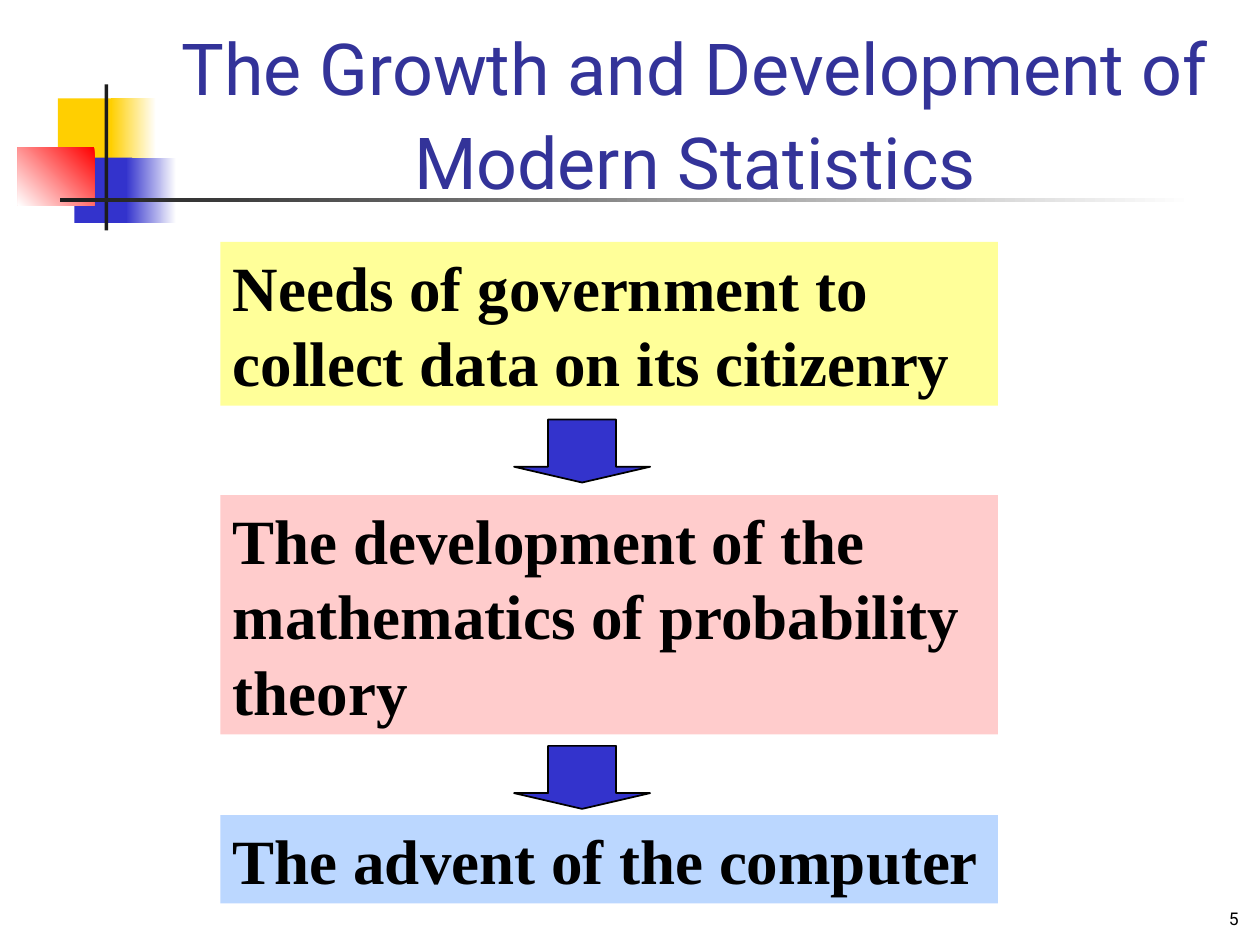
import pptx
import pptx.util
import pptx.dml.color
import pptx.enum.shapes
import pptx.enum.text

Inches = pptx.util.Inches
Pt = pptx.util.Pt
SHAPES = pptx.enum.shapes.MSO_SHAPE
ALIGN = pptx.enum.text.PP_ALIGN
ANCHOR = pptx.enum.text.MSO_ANCHOR

COLORS = {
    "white": "FFFFFF", "black": "000000", "charcoal": "1C1C1C",
    "gold": "FFCF01", "blue": "3333CC", "red": "FF0000", "title": "333399",
    "yellow": "FFFF99", "pink": "FFCCCC", "sky": "BBD7FF",
}


def rgb(name):
    return pptx.dml.color.RGBColor.from_string(COLORS[name])


def write(shape, text, font="Roboto", size=10, color="black", bold=False,
          align=ALIGN.LEFT, anchor=ANCHOR.TOP, inset=0.09, spacing=None):
    frame = shape.text_frame
    frame.word_wrap = True
    frame.auto_size = pptx.enum.text.MSO_AUTO_SIZE.NONE
    frame.vertical_anchor = anchor
    frame.margin_left = frame.margin_right = Inches(inset)
    frame.margin_top = frame.margin_bottom = Inches(0.05)
    paragraph = frame.paragraphs[0]
    paragraph.alignment = align
    paragraph.line_spacing = spacing
    run = paragraph.add_run()
    run.text = text
    run.font.name = font
    run.font.size = Pt(size)
    run.font.bold = bold
    run.font.color.rgb = rgb(color)


presentation = pptx.Presentation()
presentation.slide_width = Inches(10)
presentation.slide_height = Inches(7.5)
slide = presentation.slides.add_slide(presentation.slide_layouts[5])

decorations = [
    (0.46, 0.78, 0.48, 0.52, ["gold"], 0),
    (0.88, 0.78, 0.36, 0.52, ["white", "gold"], 180),
    (0.59, 1.25, 0.46, 0.52, ["blue"], 0),
    (1, 1.25, 0.4, 0.52, ["white", "blue"], 180),
    (0.14, 1.17, 0.61, 0.46, ["red", "white"], 225),
    (0.83, 0.67, 0.03, 1.16, ["charcoal"], 0),
    (0.48, 1.57, 9, 0.03, ["white", "charcoal"], 180),
]
for left, top, width, height, colors, angle in decorations:
    shape = slide.shapes.add_shape(
        SHAPES.RECTANGLE, Inches(left), Inches(top), Inches(width), Inches(height))
    shape.shadow.inherit = False
    shape.line.fill.background()
    if len(colors) == 1:
        shape.fill.solid()
        shape.fill.fore_color.rgb = rgb(colors[0])
    else:
        shape.fill.gradient()
        shape.fill.gradient_angle = angle
        for stop, color in zip(shape.fill.gradient_stops, colors):
            stop.color.rgb = rgb(color)

title = slide.shapes.title
title.left, title.top = Inches(1.26), Inches(0.42)
title.width, title.height = Inches(8.52), Inches(1.25)
write(title, "The Growth and Development of Modern Statistics", size=41,
      color="title", align=ALIGN.CENTER, anchor=ANCHOR.BOTTOM, spacing=1.1)

steps = [
    (1.92, 1.3, "yellow", "Needs of government to collect data on its citizenry"),
    (3.93, 1.9, "pink", "The development of the mathematics of probability theory"),
    (6.47, 0.7, "sky", "The advent of the computer"),
]
for top, height, color, text in steps:
    box = slide.shapes.add_shape(
        SHAPES.RECTANGLE, Inches(1.75), Inches(top), Inches(6.17), Inches(height))
    box.shadow.inherit = False
    box.line.fill.background()
    box.fill.solid()
    box.fill.fore_color.rgb = rgb(color)
    write(box, text, font="Times New Roman", size=36, bold=True, inset=0.1,
          spacing=Pt(43.2))

for top in (3.33, 5.92):
    arrow = slide.shapes.add_shape(
        SHAPES.DOWN_ARROW, Inches(4.08), Inches(top), Inches(1.08), Inches(0.5))
    arrow.adjustments[0] = 0.5
    arrow.adjustments[1] = 0.25
    arrow.shadow.inherit = False
    arrow.fill.solid()
    arrow.fill.fore_color.rgb = rgb("blue")
    arrow.line.color.rgb = rgb("black")
    arrow.line.width = Pt(1)

page_number = slide.shapes.add_textbox(
    Inches(7.84), Inches(6.91), Inches(2.08), Inches(0.51))
write(page_number, "5", align=ALIGN.RIGHT, anchor=ANCHOR.BOTTOM)

presentation.save("out.pptx")
